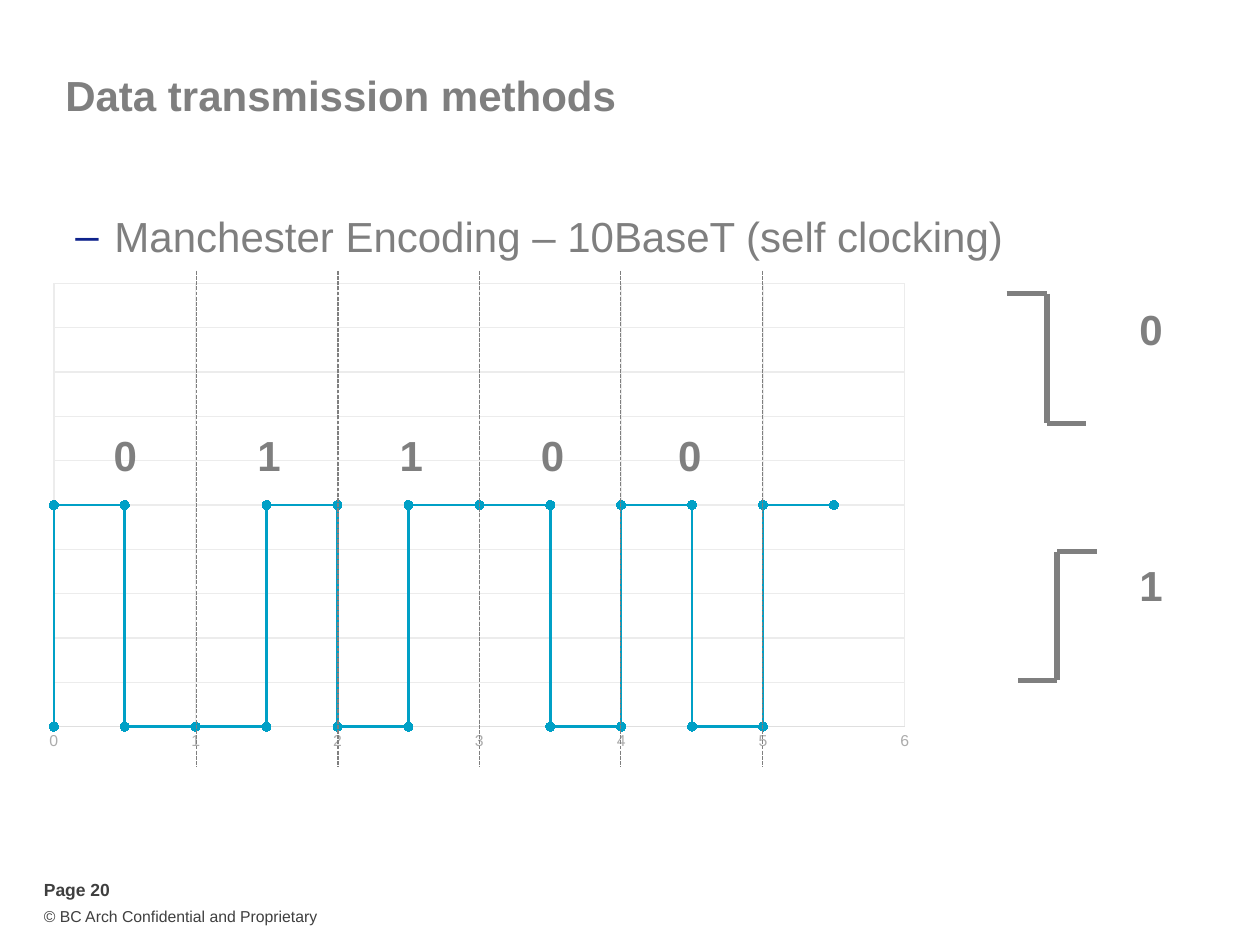
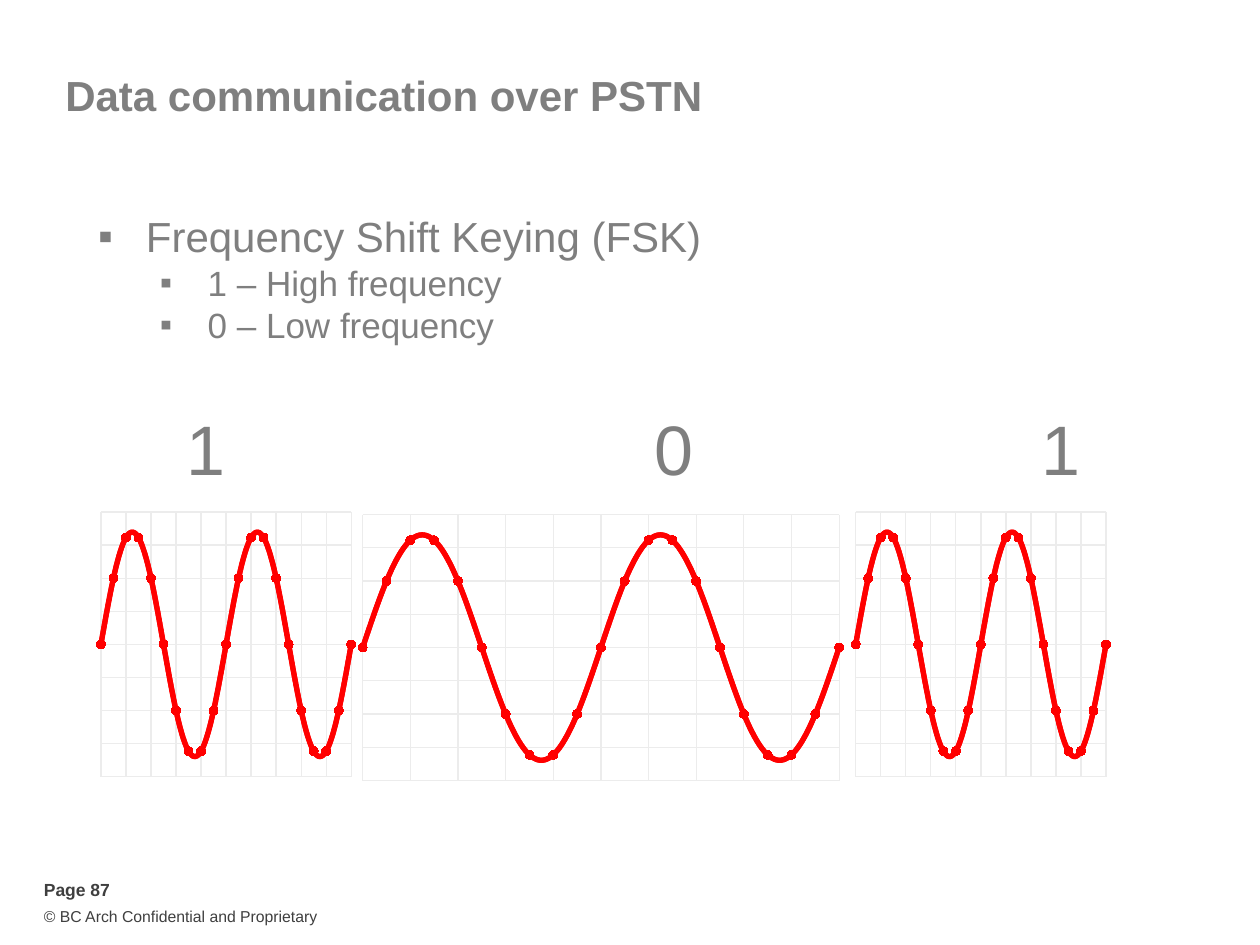
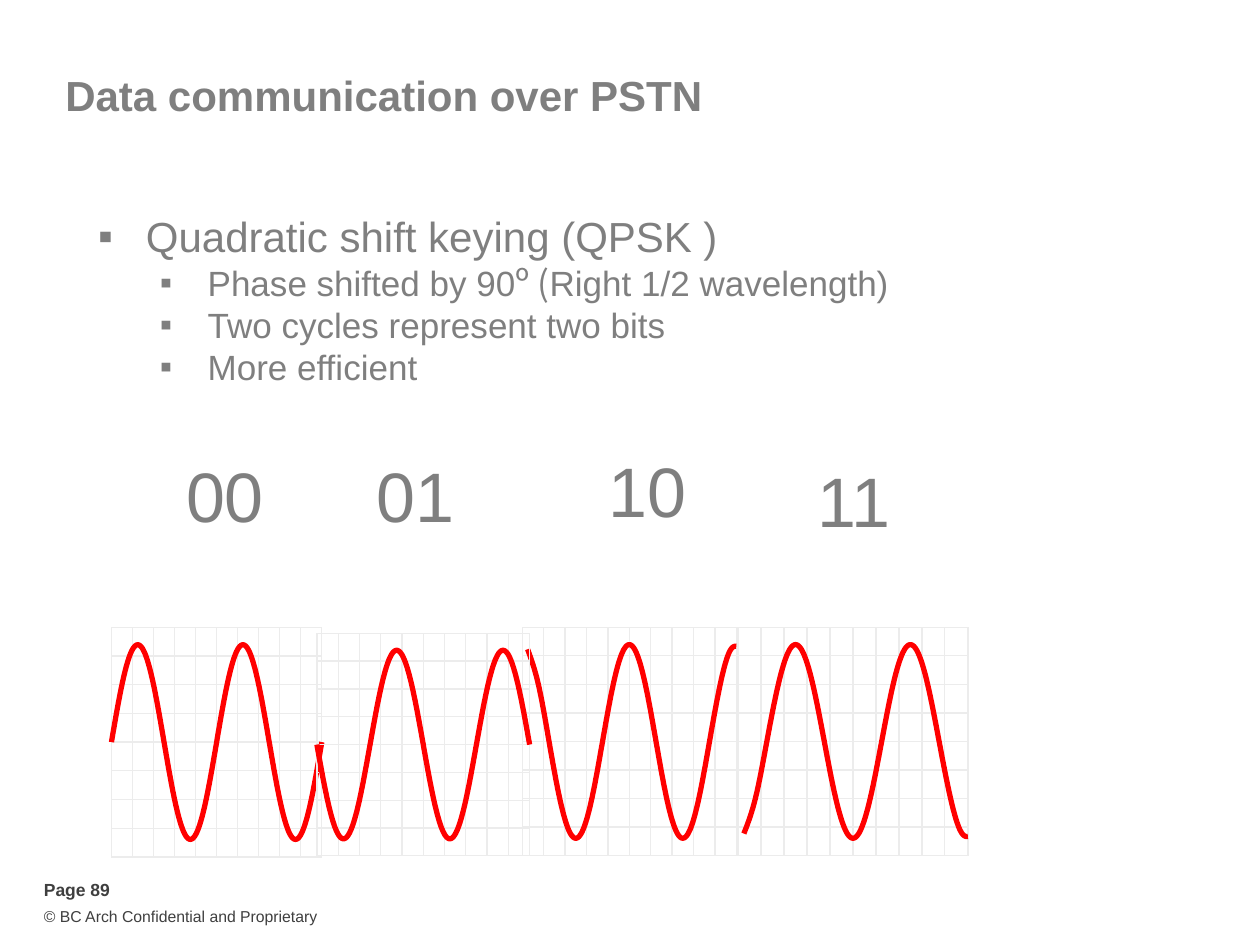
from itertools import pairwise

from lxml import etree
from pptx import Presentation
from pptx.chart.data import XyChartData
from pptx.dml.color import RGBColor
from pptx.enum.chart import XL_CHART_TYPE, XL_MARKER_STYLE, XL_TICK_MARK
from pptx.enum.dml import MSO_LINE
from pptx.enum.shapes import MSO_CONNECTOR, MSO_SHAPE
from pptx.enum.text import MSO_ANCHOR, PP_ALIGN
from pptx.oxml.ns import qn
from pptx.util import Inches, Pt

LINES = XL_CHART_TYPE.XY_SCATTER_LINES
SMOOTH = XL_CHART_TYPE.XY_SCATTER_SMOOTH
CIRCLE, NO_MARKER = XL_MARKER_STYLE.CIRCLE, XL_MARKER_STYLE.NONE
NO_TICK = XL_TICK_MARK.NONE
LEFT, CENTER = PP_ALIGN.LEFT, PP_ALIGN.CENTER
MIDDLE, TOP = MSO_ANCHOR.MIDDLE, MSO_ANCHOR.TOP
RECTANGLE, STRAIGHT = MSO_SHAPE.RECTANGLE, MSO_CONNECTOR.STRAIGHT
DASH = MSO_LINE.SQUARE_DOT

WHITE = RGBColor(0xFF, 0xFF, 0xFF)
GRAY = RGBColor(0x7F, 0x7F, 0x7F)
DARK = RGBColor(0x3F, 0x3F, 0x3F)
NAVY = RGBColor(0x0F, 0x23, 0x8C)
TEAL = RGBColor(0x00, 0xA0, 0xC6)
RED = RGBColor(0xFF, 0x00, 0x00)
PALE = RGBColor(0xCB, 0xDD, 0xFD)
GRID = RGBColor(0xEC, 0xEC, 0xEC)
AXIS_LINE = RGBColor(0xDF, 0xDF, 0xDF)
AXIS_TEXT = RGBColor(0xAC, 0xAC, 0xAC)

FONT = "Arial"
CJK_FONT = "Noto Sans CJK SC"

# Bullet levels: size, line height, left margin, hanging indent, character, colour
DASH_LEVELS = [(24, 29, 0.81, 0.31, "–", NAVY)]
SQUARE_LEVELS = [(24, 29, 1.06, 0.38, "▪", GRAY), (20, 24, 1.55, 0.38, "▪", GRAY)]
BIT = dict(size=24, bold=True, align=CENTER, wrap=False)
BIG_BIT = dict(size=40, align=CENTER, wrap=False)

# Chart series: has values, colour, line width, marker
STEP_SERIES = [(False, PALE, 1.5, CIRCLE), (True, TEAL, 1.5, CIRCLE)]
FREQUENCY_SERIES = [(False, WHITE, 1.5, CIRCLE), (True, RED, 3, CIRCLE),
                    (False, PALE, 1.5, CIRCLE), (True, RED, 3, NO_MARKER)]
PHASE_SERIES = [(False, PALE, 1.5, CIRCLE), (True, RED, 3, NO_MARKER)]

# One sine cycle in ten steps
CYCLE = [0, 62, 100, 100, 62, 0, -62, -100, -100, -62]


def add_text(slide, at, lines, size=24, bold=False, color=GRAY, align=LEFT,
             anchor=TOP, wrap=True, levels=(), fill=None):
    """Each line is a string or a list of (text, font); the last level serves all further lines."""
    place = list(map(Inches, at))
    if fill is None:
        box = slide.shapes.add_textbox(*place)
    else:
        box = slide.shapes.add_shape(RECTANGLE, *place)
        box.shadow.inherit = False
        box.fill.solid()
        box.fill.fore_color.rgb = fill
        box.line.fill.background()
    frame = box.text_frame
    frame.word_wrap = wrap
    frame.vertical_anchor = anchor
    for index, line in enumerate(lines):
        para = frame.paragraphs[0] if index == 0 else frame.add_paragraph()
        para.alignment = align
        if levels:
            size, height, margin, hanging, mark, mark_color = levels[min(index, len(levels) - 1)]
            props = para._p.get_or_add_pPr()
            props.set("marL", str(Inches(margin)))
            props.set("indent", str(-Inches(hanging)))
            tint = etree.SubElement(props, qn("a:buClr"))
            etree.SubElement(tint, qn("a:srgbClr"), val=str(mark_color))
            etree.SubElement(props, qn("a:buFont"), typeface=FONT)
            etree.SubElement(props, qn("a:buChar"), char=mark)
            para.line_spacing = Pt(height)
        for text, font in [(line, FONT)] if isinstance(line, str) else line:
            span = para.add_run()
            span.text = text
            span.font.name = font
            span.font.size = Pt(size)
            span.font.bold = bold
            span.font.color.rgb = color


def add_signal(slide, at, points, kind, styles, x_scale, y_scale, plot_area):
    """Scales are (minimum, maximum, unit); plot_area is x, y, w, h as parts of the chart."""
    data = XyChartData()
    for number, (has_values, *_) in enumerate(styles, 1):
        signal = data.add_series(f"Series {number}")
        for x, y in points:
            signal.add_data_point(x, y if has_values else None)
    chart = slide.shapes.add_chart(kind, *map(Inches, at), data).chart
    chart.has_title = False
    chart.has_legend = False
    chart.font.name = FONT
    chart.font.size = Pt(10)
    chart.font.color.rgb = GRAY

    plot = chart.plots[0]
    plot.vary_by_categories = False
    for series, (_, color, width, marker) in zip(plot.series, styles):
        series.format.line.color.rgb = color
        series.format.line.width = Pt(width)
        series.marker.style = marker
        if marker == CIRCLE:
            series.marker.size = 5
            series.marker.format.fill.solid()
            series.marker.format.fill.fore_color.rgb = color
            series.marker.format.line.color.rgb = color
    for smooth in chart.element.iter(qn("c:smooth")):
        smooth.set("val", "1" if kind == SMOOTH else "0")

    for axis, scale in ((chart.category_axis, x_scale), (chart.value_axis, y_scale)):
        axis.minimum_scale, axis.maximum_scale, axis.major_unit = scale
        axis.has_major_gridlines = True
        axis.major_gridlines.format.line.color.rgb = GRID
        axis.major_gridlines.format.line.width = Pt(0.75)
        axis.major_tick_mark = axis.minor_tick_mark = NO_TICK
        axis.visible = False

    area = chart.element.find(".//" + qn("c:plotArea"))
    for old in area.findall(qn("c:layout")):
        area.remove(old)
    layout = etree.Element(qn("c:layout"))
    area.insert(0, layout)
    manual = etree.SubElement(layout, qn("c:manualLayout"))
    settings = [("layoutTarget", "inner"), ("xMode", "edge"), ("yMode", "edge")]
    for tag, value in settings + list(zip("xywh", plot_area)):
        etree.SubElement(manual, qn("c:" + tag), val=str(value))
    return chart


deck = Presentation()
deck.slide_width, deck.slide_height = Inches(10), Inches(7.5)

# Title and footer on every slide
slides = []
for title, page in [("Data transmission methods", 20),
                    ("Data communication over PSTN", 87),
                    ("Data communication over PSTN", 89)]:
    slide = deck.slides.add_slide(deck.slide_layouts[6])
    add_text(slide, (0.25, 7.15, 3.25, 0.25), ["© BC Arch Confidential and Proprietary"],
             size=9, color=DARK)
    add_text(slide, (0.25, 6.93, 1.08, 0.27), [f"Page {page}"], size=10, bold=True, color=DARK)
    add_text(slide, (0.42, 0.42, 9, 0.67), [title], bold=True, anchor=MIDDLE)
    slides.append(slide)
manchester, frequency, phase = slides

# Manchester encoding: one level for each half bit
add_text(manchester, (0, 1.62, 9.69, 0.55), ["Manchester Encoding – 10BaseT (self clocking)"],
         levels=DASH_LEVELS, fill=WHITE)
half_bits = [100, 0, 0, 100, 0, 100, 100, 0, 100, 0, 100]
steps = [(0, 0)]
for index, level in enumerate(half_bits):
    steps += [(index / 2, level), ((index + 1) / 2, level)]
chart = add_signal(manchester, (0.25, 2.18, 7.11, 3.86), steps, LINES, STEP_SERIES,
                   (0, 6, 1), (0, 200, 20), (0.025, 0.018, 0.95, 0.912))
time_axis = chart.category_axis
time_axis.visible = True
time_axis.tick_labels.number_format = "0"
time_axis.tick_labels.number_format_is_linked = False
time_axis.tick_labels.font.name = FONT
time_axis.tick_labels.font.size = Pt(9)
time_axis.tick_labels.font.color.rgb = AXIS_TEXT
time_axis.format.line.color.rgb = AXIS_LINE
time_axis.format.line.width = Pt(0.75)

falling_edge = [(7.99, 2.33), (8.31, 2.33), (8.31, 3.36), (8.62, 3.36)]
rising_edge = [(8.08, 5.4), (8.39, 5.4), (8.39, 4.38), (8.71, 4.38)]
segments = [(start, end, 3, None) for edge in (falling_edge, rising_edge)
            for start, end in pairwise(edge)]
for bit in range(5):
    x = 1.56 + 1.1225 * bit
    segments.append(((x, 2.15), (x, 6.09), 0.75, DASH))
for start, end, width, dash in segments:
    line = manchester.shapes.add_connector(STRAIGHT, *map(Inches, start + end))
    line.line.color.rgb = GRAY
    line.line.width = Pt(width)
    if dash:
        line.line.dash_style = dash
    etree.SubElement(line._element.spPr, qn("a:effectLst"))

for left, top, bit in [(8.94, 2.36, "0"), (8.94, 4.39, "1"), (0.8, 3.36, "0"), (1.94, 3.36, "1"),
                       (3.07, 3.36, "1"), (4.19, 3.36, "0"), (5.28, 3.36, "0")]:
    add_text(manchester, (left, top, 0.39, 0.5), [bit], **BIT)

# Bullets and bit labels of the two keying slides
add_text(frequency, (0, 1.62, 10, 4.65),
         ["Frequency Shift Keying (FSK)", "1 – High frequency", "0 – Low frequency"],
         levels=SQUARE_LEVELS)
add_text(phase, (0, 1.62, 10, 4.65),
         ["Quadratic shift keying (QPSK )",
          [("Phase shifted by 90", FONT), ("º (", CJK_FONT), ("Right 1/2 wavelength)", FONT)],
          "Two cycles represent two bits",
          "More efficient"],
         levels=SQUARE_LEVELS)
for slide, left, top, width, bits in [
    (frequency, 1.38, 3.17, 0.4, "1"), (frequency, 4.37, 3.17, 1.96, "0"),
    (frequency, 7.44, 3.17, 1.96, "1"),
    (phase, 1.24, 3.54, 1.09, "00"), (phase, 2.76, 3.54, 1.07, "01"),
    (phase, 4.61, 3.5, 1.05, "10"), (phase, 6.38, 3.58, 0.79, "11"),
]:
    add_text(slide, (left, top, width, 0.77), [bits], **BIG_BIT)

# Waves: slide, place, first point, axis minimum, series
for slide, at, first, low, styles in [
    (frequency, (0.76, 4.02, 2.07, 2.19), 0, 0, FREQUENCY_SERIES),
    (frequency, (2.8, 4.04, 3.94, 2.2), 0, 0, FREQUENCY_SERIES),
    (frequency, (6.75, 4.02, 2.07, 2.19), 0, 0, FREQUENCY_SERIES),
    (phase, (0.85, 4.94, 1.74, 1.9), 0, 0, PHASE_SERIES),
    (phase, (4.11, 4.94, 1.77, 1.89), 3, 2.5, PHASE_SERIES),
    (phase, (2.48, 4.99, 1.76, 1.84), 5, 5, PHASE_SERIES),
    (phase, (5.82, 4.94, 1.9, 1.89), 8, 7.5, PHASE_SERIES),
]:
    wave = [(x, CYCLE[x % 10]) for x in range(first, first + 21)]
    add_signal(slide, at, wave, SMOOTH, styles, (low, low + 20, 2), (-124, 124, 31),
               (0.02, 0.02, 0.96, 0.96))

deck.save("out.pptx")
